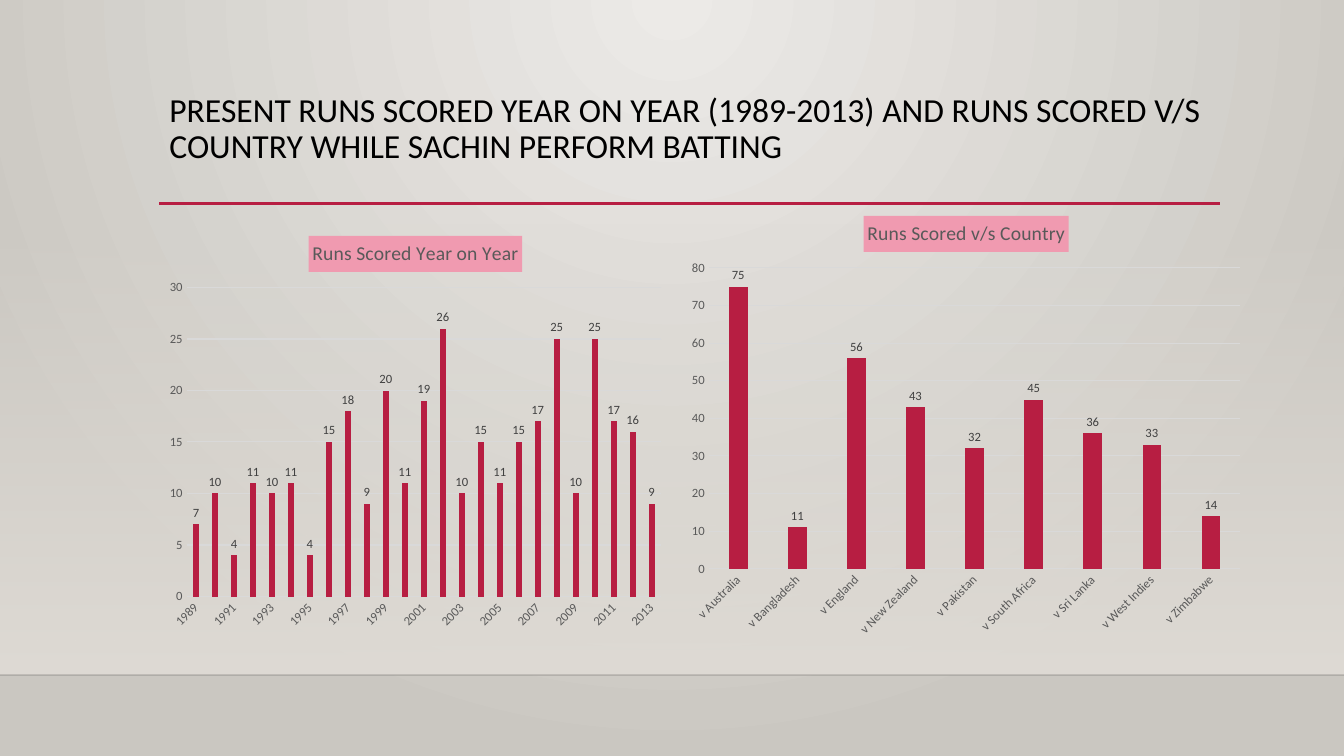
from dataclasses import dataclass

from lxml.etree import SubElement
from pptx import Presentation
from pptx.chart.data import CategoryChartData
from pptx.dml.color import RGBColor as RGB
from pptx.enum.chart import XL_CHART_TYPE as CHART, XL_LABEL_POSITION as LABEL
from pptx.enum.chart import XL_TICK_MARK as TICK
from pptx.enum.shapes import MSO_CONNECTOR as CONNECTOR, MSO_SHAPE as SHAPE
from pptx.enum.text import MSO_ANCHOR as ANCHOR
from pptx.oxml.ns import qn
from pptx.util import Cm, Pt


@dataclass(frozen=True)
class Theme:
    font: str = "Calibri"
    title: str = "000000"
    accent: str = "B71E42"
    highlight: str = "F09AB0"
    axis_text: str = "595959"
    label_text: str = "404040"
    grid: str = "D9D9D9"
    floor_line: str = "000001"
    floor: str = "DFDBD5"
    glow: str = "ECEAE7"
    edge: str = "CAC7C1"
    title_size: int = 24
    chart_title_size: int = 14
    chart_size: int = 10
    label_size: int = 9


THEME = Theme()
WIDTH, HEIGHT = 33.87, 19.05

RUNS_BY_YEAR = dict(zip(
    map(str, range(1989, 2014)),
    [7, 10, 4, 11, 10, 11, 4, 15, 18, 9, 20, 11, 19,
     26, 10, 15, 11, 15, 17, 25, 10, 25, 17, 16, 9]))
RUNS_BY_COUNTRY = {
    "v Australia": 75, "v Bangladesh": 11, "v England": 56,
    "v New Zealand": 43, "v Pakistan": 32, "v South Africa": 45,
    "v Sri Lanka": 36, "v West Indies": 33, "v Zimbabwe": 14}


def style_font(font, size, color):
    font.name, font.size, font.bold = THEME.font, Pt(size), False
    font.color.rgb = RGB.from_string(color)


def set_alpha(color, percent):
    SubElement(color, qn("a:alpha")).set("val", str(percent * 1000))


def reset_gradient(parent, stops):
    """Replace the stops, given as (position, colour, opacity), and drop the direction."""
    grad = parent.find(".//" + qn("a:gradFill"))
    for child in list(grad):
        grad.remove(child)
    stop_list = SubElement(grad, qn("a:gsLst"))
    for position, color, opacity in stops:
        stop = SubElement(stop_list, qn("a:gs"), pos=str(position * 1000))
        set_alpha(SubElement(stop, qn("a:srgbClr"), val=color), opacity)
    return grad


def add_rule(s, x1, x2, y, color, width):
    line = s.shapes.add_connector(CONNECTOR.STRAIGHT, Cm(x1), Cm(y), Cm(x2), Cm(y))
    line.line.color.rgb = RGB.from_string(color)
    line.line.width = Pt(width)
    SubElement(line._element.spPr, qn("a:effectLst"))
    return line


def add_backdrop(s):
    s.background.fill.gradient()
    grad = reset_gradient(s._element, [(0, THEME.glow, 100), (100, THEME.edge, 100)])
    circle = SubElement(grad, qn("a:path"), path="circle")
    SubElement(circle, qn("a:fillToRect"), l="43000", t="0", r="43000", b="100000")


def add_wall(s, x, y, w, h):
    """Fading band that ends in a faint floor line."""
    sp = s.shapes.add_shape(SHAPE.RECTANGLE, Cm(x), Cm(y), Cm(w), Cm(h))
    sp.shadow.inherit = False
    sp.line.fill.background()
    sp.fill.gradient()
    grad = reset_gradient(sp._element, [(0, THEME.floor, 0), (100, THEME.floor, 100)])
    SubElement(grad, qn("a:lin"), ang="5400000", scaled="0")
    line = add_rule(s, x, x + w, y + h, THEME.floor_line, 1)
    set_alpha(line._element.spPr.find(".//" + qn("a:srgbClr")), 20)


def add_title(s, x, y, w, h, text):
    tf = s.shapes.add_textbox(Cm(x), Cm(y), Cm(w), Cm(h)).text_frame
    tf.word_wrap = True
    tf.vertical_anchor = ANCHOR.TOP
    p = tf.paragraphs[0]
    p.text = text
    p.line_spacing = 0.9
    style_font(p.font, THEME.title_size, THEME.title)
    add_rule(s, x, x + w + 0.06, y + 2.9, THEME.accent, 2.5)


def style_axes(chart):
    for axis in (chart.category_axis, chart.value_axis):
        axis.major_tick_mark = axis.minor_tick_mark = TICK.NONE
        style_font(axis.tick_labels.font, THEME.label_size, THEME.axis_text)
    category, value = chart.category_axis, chart.value_axis
    # This angle lets the renderer choose the slant of the labels.
    category._element.txPr.bodyPr.set("rot", "-60000000")
    value.format.line.fill.background()
    value.has_major_gridlines = True
    for line in (category.format.line, value.major_gridlines.format.line):
        line.color.rgb = RGB.from_string(THEME.grid)
        line.width = Pt(0.75)


def add_runs_chart(s, x, y, w, h, title, runs):
    data = CategoryChartData()
    data.categories = list(runs)
    data.add_series("Series 1", list(runs.values()))
    chart = s.shapes.add_chart(CHART.COLUMN_CLUSTERED, Cm(x), Cm(y), Cm(w), Cm(h), data).chart
    style_font(chart.font, THEME.chart_size, THEME.title)
    chart.has_legend = False

    chart.has_title = True
    chart.chart_title.include_in_layout = False
    p = chart.chart_title.text_frame.paragraphs[0]
    p.text = title
    style_font(p.font, THEME.chart_title_size, THEME.axis_text)
    fill = chart.chart_title.format.fill
    fill.solid()
    fill.fore_color.rgb = RGB.from_string(THEME.highlight)

    style_axes(chart)
    plot = chart.plots[0]
    plot.gap_width, plot.overlap = 219, -27
    plot.vary_by_categories = False
    fill = plot.series[0].format.fill
    fill.solid()
    fill.fore_color.rgb = RGB.from_string(THEME.accent)
    plot.has_data_labels = True
    labels = plot.data_labels
    labels.show_value = True
    labels.position = LABEL.OUTSIDE_END
    style_font(labels.font, THEME.label_size, THEME.label_text)


def main():
    prs = Presentation()
    prs.slide_width, prs.slide_height = Cm(WIDTH), Cm(HEIGHT)
    s = prs.slides.add_slide(prs.slide_layouts[6])
    add_backdrop(s)
    add_wall(s, 0, 5.61, WIDTH, 11.4)
    add_title(s, 4.02, 2.23, 26.67, 2.95,
              "PRESENT RUNS SCORED YEAR ON YEAR (1989-2013) AND RUNS SCORED V/S "
              "COUNTRY WHILE SACHIN PERFORM BATTING")
    add_runs_chart(s, 4.02, 5.6, 12.9, 10.46, "Runs Scored Year on Year", RUNS_BY_YEAR)
    add_runs_chart(s, 17.15, 5.08, 14.4, 11.18, "Runs Scored v/s Country", RUNS_BY_COUNTRY)
    prs.save("out.pptx")


if __name__ == "__main__":
    main()
